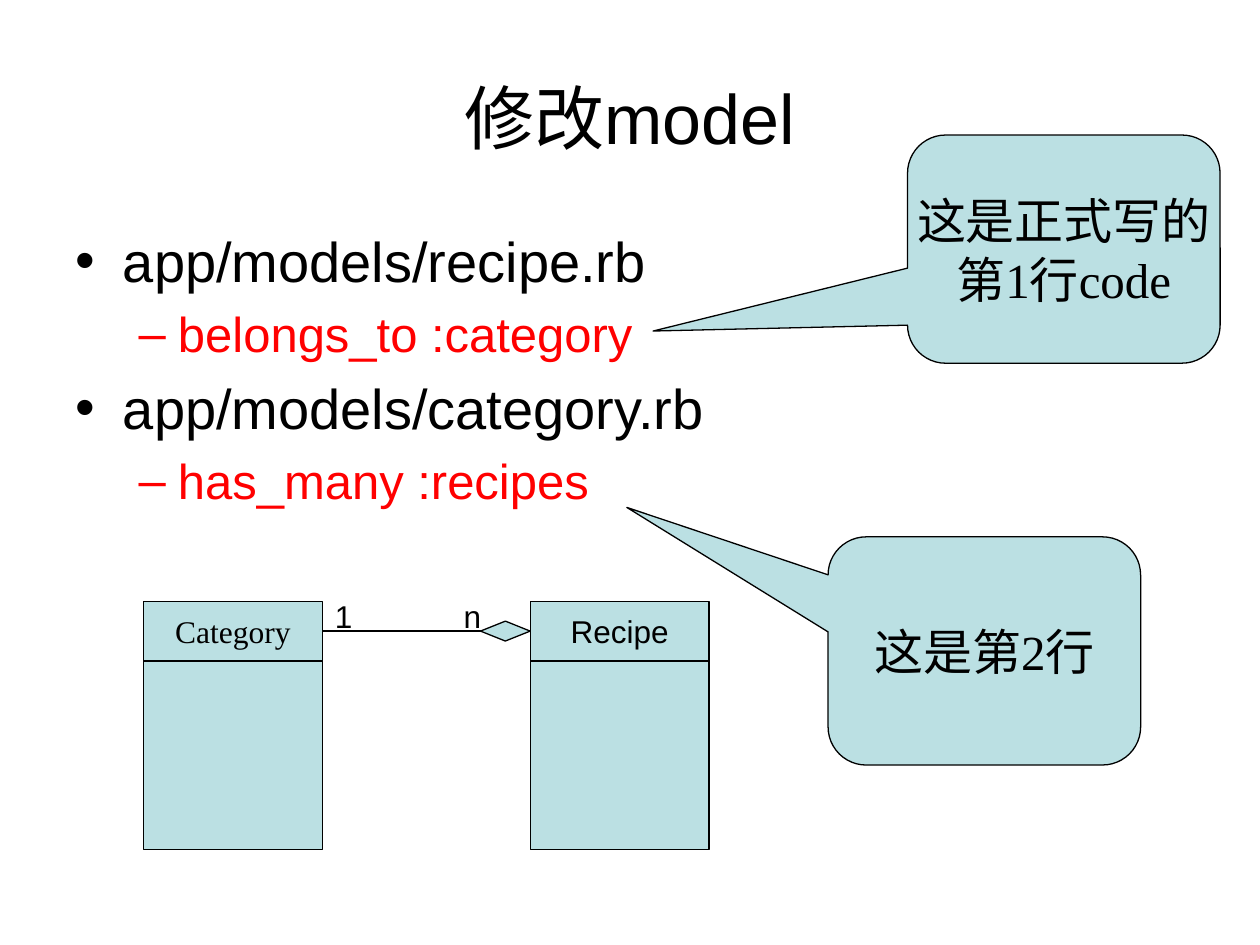
from pptx import Presentation
from pptx import util as u
from pptx.dml import color
from pptx.enum import shapes, text
from pptx.oxml import parse_xml
from pptx.oxml.ns import nsdecls

TITLE = "修改model"
BULLETS = [
    (0, "app/models/recipe.rb"),
    (1, "belongs_to :category"),
    (0, "app/models/category.rb"),
    (1, "has_many :recipes"),
]
LEVEL_STYLES = [(32, "000000"), (28, "FF0000")]
CALLOUTS = [
    ("这是第2行", 473.2, 306.8, (-1.144, -0.629, 0.167)),
    ("这是正式写的\v第1行code", 518.6, 77.2, (-1.314, 0.359, 0.167)),
]
CALLOUT_SIZE = (178.6, 130.4)
CLASSES = [("Category", "Times New Roman", 82), ("Recipe", "Arial", 303)]
MULTIPLICITIES = [("1", 184.3), ("n", 257.8)]
CLASS_TOP, CLASS_WIDTH, HEADER_HEIGHT, BODY_HEIGHT = 343.6, 102.2, 34.1, 107.8
DIAMOND_WIDTH, DIAMOND_HEIGHT = 28.4, 11.4
FILL, INK = "BBE0E3", "000000"


def rgb(hex_string):
    return color.RGBColor.from_string(hex_string)


def points(*lengths):
    return [u.Pt(length) for length in lengths]


def place(shape, *box):
    shape.left, shape.top, shape.width, shape.height = points(*box)


def style(paragraph, name, size, ink=INK):
    paragraph.font.name = name
    paragraph.font.size = u.Pt(size)
    paragraph.font.color.rgb = rgb(ink)


def add_box(slide, kind, box, label="", font="Arial", size=18):
    shape = slide.shapes.add_shape(kind, *points(*box))
    shape.shadow.inherit = False
    shape.fill.solid()
    shape.fill.fore_color.rgb = rgb(FILL)
    shape.line.color.rgb = rgb(INK)
    shape.line.width = u.Pt(0.75)
    if label:
        frame = shape.text_frame
        frame.text = label
        frame.word_wrap = False
        frame.vertical_anchor = text.MSO_ANCHOR.MIDDLE
        paragraph = frame.paragraphs[0]
        paragraph.alignment = text.PP_ALIGN.CENTER
        style(paragraph, font, size)
    return shape


def add_text(slide):
    title, body = slide.placeholders
    place(title, 36, 21.6, 648, 90)
    title.text_frame.text = TITLE
    title.text_frame.vertical_anchor = text.MSO_ANCHOR.MIDDLE
    style(title.text_frame.paragraphs[0], "Arial", 40)

    place(body, 36, 126, 648, 356.4)
    body.text_frame.text = "\n".join(line for _, line in BULLETS)
    for paragraph, (level, _) in zip(body.text_frame.paragraphs, BULLETS):
        paragraph.level = level
        style(paragraph, "Arial", *LEVEL_STYLES[level])


def add_callouts(slide):
    for label, left, top, adjustments in CALLOUTS:
        callout = add_box(slide, shapes.MSO_SHAPE.ROUNDED_RECTANGULAR_CALLOUT,
                          (left, top, *CALLOUT_SIZE), label, "Times New Roman", 28)
        for index, value in enumerate(adjustments):
            callout.adjustments[index] = value


def add_class_diagram(slide):
    rectangle = shapes.MSO_SHAPE.RECTANGLE
    for name, font, left in CLASSES:
        add_box(slide, rectangle, (left, CLASS_TOP, CLASS_WIDTH, HEADER_HEIGHT), name, font)
        add_box(slide, rectangle,
                (left, CLASS_TOP + HEADER_HEIGHT, CLASS_WIDTH, BODY_HEIGHT))

    middle = CLASS_TOP + HEADER_HEIGHT / 2
    start, end = CLASSES[0][2] + CLASS_WIDTH, CLASSES[1][2]
    connector = slide.shapes.add_connector(
        shapes.MSO_CONNECTOR.STRAIGHT, *points(start, middle, end, middle))
    connector.line.color.rgb = rgb(INK)
    connector.line.width = u.Pt(0.75)
    connector._element.spPr.append(parse_xml(f"<a:effectLst {nsdecls('a')}/>"))
    add_box(slide, shapes.MSO_SHAPE.FLOWCHART_DECISION,
            (end - DIAMOND_WIDTH, middle - DIAMOND_HEIGHT / 2, DIAMOND_WIDTH, DIAMOND_HEIGHT))

    for label, left in MULTIPLICITIES:
        frame = slide.shapes.add_textbox(*points(left, 337.7, 62.6, 28.8)).text_frame
        frame.text = label
        frame.word_wrap = True
        frame.auto_size = text.MSO_AUTO_SIZE.SHAPE_TO_FIT_TEXT
        style(frame.paragraphs[0], "Arial", 18)


def main():
    presentation = Presentation()
    presentation.slide_width, presentation.slide_height = points(720, 540)
    slide = presentation.slides.add_slide(presentation.slide_layouts[1])
    add_text(slide)
    add_callouts(slide)
    add_class_diagram(slide)
    presentation.save("out.pptx")


if __name__ == "__main__":
    main()
